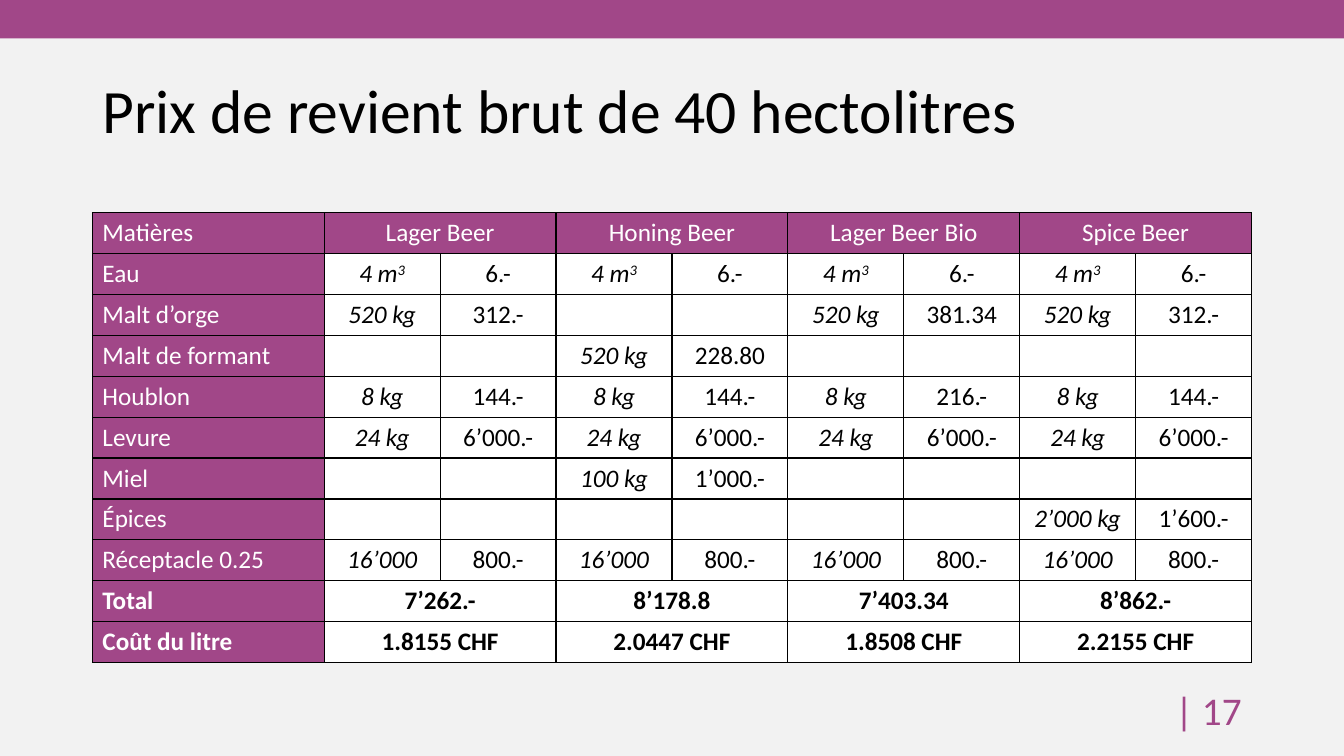
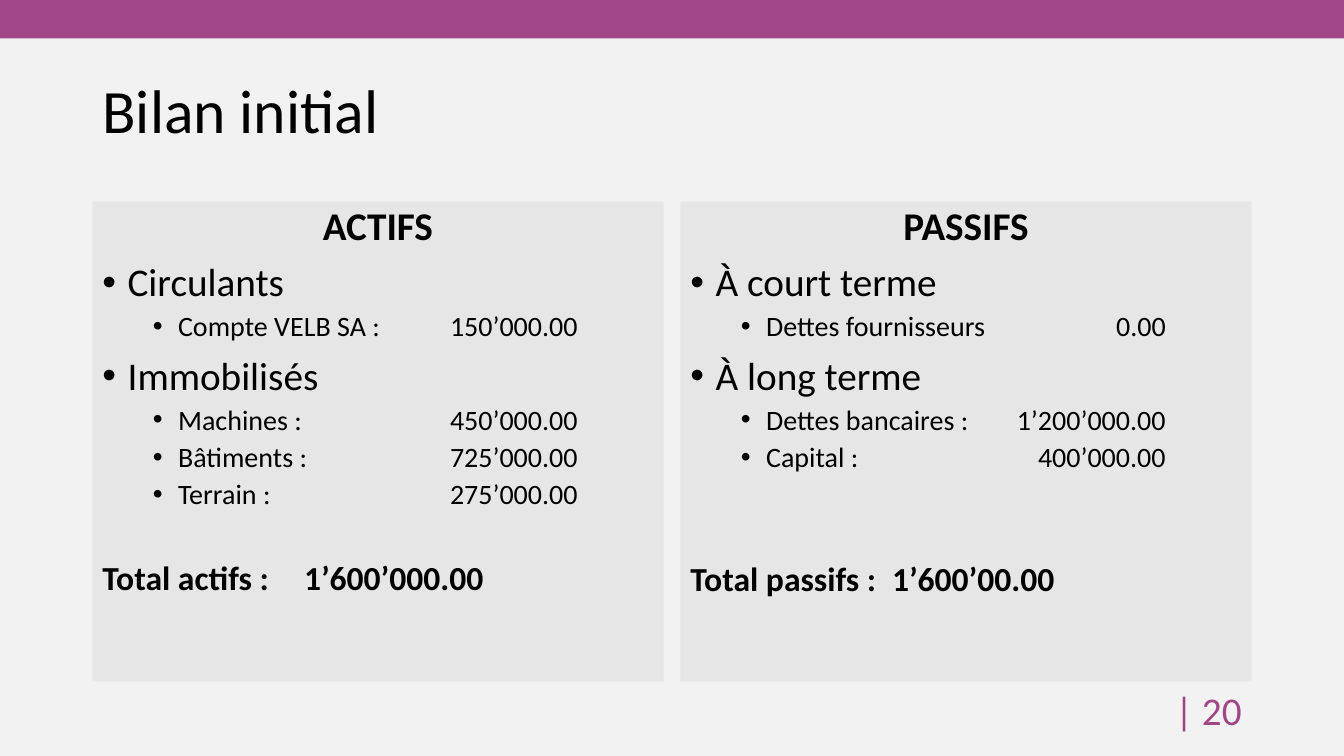
from dataclasses import dataclass
from typing import Optional

import lxml.etree
import pptx
import pptx.dml.color
import pptx.enum.shapes
import pptx.enum.text
import pptx.oxml.ns
import pptx.shapes.base
import pptx.slide
import pptx.table
import pptx.text.text
import pptx.util

Pt = pptx.util.Pt
qn = pptx.oxml.ns.qn
Align = pptx.enum.text.PP_ALIGN
Anchor = pptx.enum.text.MSO_ANCHOR

# Shared look
FONT = "Calibri"
PLUM, PAPER, PANEL = "A14788", "F2F2F2", "E7E6E6"
BLACK, WHITE = "000000", "FFFFFF"
SLIDE_WIDTH, SLIDE_HEIGHT = 960, 540
MARGIN = 66
CONTENT_WIDTH = SLIDE_WIDTH - 2 * MARGIN
TITLE_ONLY, TWO_CONTENT = 5, 3

# Cost table
LABEL_WIDTH, ENTRY_WIDTH, ROW_HEIGHT = 165.6, 82.8, 29.2
TABLE_TOP = 152

# Balance sheet panels
PANEL_TOP, PANEL_HEIGHT, PANEL_GAP = 144, 343, 12
PANEL_WIDTH = (CONTENT_WIDTH - PANEL_GAP) / 2

Entry = Optional[tuple[str, str]]


@dataclass(frozen=True)
class Ingredient:
    name: str
    entries: tuple[Entry, ...]  # quantity and price for each beer


@dataclass(frozen=True)
class Summary:
    name: str
    values: tuple[str, ...]
    bold: bool = True


@dataclass(frozen=True)
class LineStyle:
    size: float
    before: float
    bold: bool = False
    align: Align = Align.LEFT
    margin: float = 0
    bullet: bool = False
    level: int = 0
    tab: Optional[tuple[float, str]] = None


@dataclass(frozen=True)
class Group:
    name: str
    items: tuple[str, ...]


@dataclass(frozen=True)
class Side:
    heading: str
    groups: tuple[Group, ...]
    total: str
    total_gap: float


HEADING = LineStyle(28, 10, bold=True, align=Align.CENTER)
GROUP = LineStyle(28, 10, margin=18, bullet=True)
ITEM = LineStyle(20, 5, margin=54, bullet=True, level=1, tab=(340, "r"))

BEERS = Summary(
    "Matières", ("Lager Beer", "Honing Beer", "Lager Beer Bio", "Spice Beer"), bold=False
)
MALT = ("520 kg", "312.-")
HOPS = ("8 kg", "144.-")
INGREDIENTS = (
    Ingredient("Eau", (("4 m^3", "6.-"),) * 4),
    Ingredient("Malt d’orge", (MALT, None, ("520 kg", "381.34"), MALT)),
    Ingredient("Malt de formant", (None, ("520 kg", "228.80"), None, None)),
    Ingredient("Houblon", (HOPS, HOPS, ("8 kg", "216.-"), HOPS)),
    Ingredient("Levure", (("24 kg", "6’000.-"),) * 4),
    Ingredient("Miel", (None, ("100 kg", "1’000.-"), None, None)),
    Ingredient("Épices", (None, None, None, ("2’000 kg", "1’600.-"))),
    Ingredient("Réceptacle 0.25", (("16’000", "800.-"),) * 4),
)
TOTALS = (
    Summary("Total", ("7’262.-", "8’178.8", "7’403.34", "8’862.-")),
    Summary("Coût du litre", ("1.8155 CHF", "2.0447 CHF", "1.8508 CHF", "2.2155 CHF")),
)

SIDES = (
    Side(
        "ACTIFS",
        (
            Group("Circulants", ("Compte VELB SA :\t150’000.00",)),
            Group(
                "Immobilisés",
                (
                    "Machines :\t450’000.00",
                    "Bâtiments :\t725’000.00",
                    "Terrain :\t275’000.00",
                ),
            ),
        ),
        "Total actifs :\t1’600’000.00",
        36.4,
    ),
    Side(
        "PASSIFS",
        (
            Group("À court terme", ("Dettes fournisseurs\t0.00",)),
            Group(
                "À long terme",
                ("Dettes bancaires :\t1’200’000.00", "Capital :\t400’000.00"),
            ),
        ),
        "Total passifs :\t1’600’00.00",
        63.4,
    ),
)


def rgb(color: str) -> pptx.dml.color.RGBColor:
    return pptx.dml.color.RGBColor.from_string(color)


def paint(target, color: str) -> None:
    target.fill.solid()
    target.fill.fore_color.rgb = rgb(color)


def style_runs(
    paragraph: pptx.text.text._Paragraph,
    size: float,
    color: str = BLACK,
    bold: bool = False,
    italic: bool = False,
) -> None:
    for run in paragraph.runs:
        run.font.name = FONT
        run.font.size = Pt(size)
        run.font.color.rgb = rgb(color)
        run.font.bold = bold
        run.font.italic = italic


def place(
    shape: pptx.shapes.base.BaseShape, left: float, top: float, width: float, height: float
) -> None:
    shape.left, shape.top = Pt(left), Pt(top)
    shape.width, shape.height = Pt(width), Pt(height)


def add_page(
    deck: pptx.presentation.Presentation, layout: int, heading: str, number: int
) -> pptx.slide.Slide:
    slide = deck.slides.add_slide(deck.slide_layouts[layout])

    # Top band
    band = slide.shapes.add_shape(
        pptx.enum.shapes.MSO_SHAPE.RECTANGLE, 0, Pt(-1.4), Pt(SLIDE_WIDTH), Pt(28.8)
    )
    band.shadow.inherit = False
    paint(band, PLUM)
    band.line.fill.background()

    # Title
    title = slide.shapes.title
    place(title, MARGIN, 28.8, CONTENT_WIDTH, 104.4)
    title.text_frame.text = heading
    title.text_frame.vertical_anchor = Anchor.MIDDLE
    title.text_frame.auto_size = pptx.enum.text.MSO_AUTO_SIZE.NONE
    title_line = title.text_frame.paragraphs[0]
    title_line.alignment = Align.LEFT
    title_line.line_spacing = 0.9
    style_runs(title_line, 44)

    # Page number
    folio = slide.shapes.add_textbox(
        Pt(SLIDE_WIDTH - MARGIN - 216), Pt(492.5), Pt(216), Pt(28.8)
    )
    folio.text_frame.word_wrap = True
    folio.text_frame.vertical_anchor = Anchor.MIDDLE
    folio.text_frame.text = f"| {number}"
    folio.text_frame.paragraphs[0].alignment = Align.RIGHT
    style_runs(folio.text_frame.paragraphs[0], 28, PLUM)
    return slide


def frame_cell(cell: pptx.table._Cell, fill: str) -> None:
    properties = cell._tc.get_or_add_tcPr()
    for edge in ("a:lnL", "a:lnR", "a:lnT", "a:lnB"):
        border = lxml.etree.SubElement(properties, qn(edge), w=str(Pt(1)))
        ink = lxml.etree.SubElement(border, qn("a:solidFill"))
        lxml.etree.SubElement(ink, qn("a:srgbClr"), val=BLACK)
    paint(cell, fill)


def write_cell(
    cell: pptx.table._Cell,
    text: str,
    color: str = BLACK,
    align: Align = Align.CENTER,
    bold: bool = False,
    italic: bool = False,
) -> None:
    """Write a cell; what follows a ^ is raised."""
    base, _, exponent = text.partition("^")
    cell.text_frame.text = base
    paragraph = cell.text_frame.paragraphs[0]
    paragraph.alignment = align
    if exponent:
        raised = paragraph.add_run()
        raised.text = exponent
        raised.font._element.set("baseline", "30000")
    style_runs(paragraph, 18, color, bold, italic)


def add_cost_table(slide: pptx.slide.Slide) -> None:
    rows = (BEERS, *INGREDIENTS, *TOTALS)
    column_count = 1 + 2 * len(BEERS.values)
    costs = slide.shapes.add_table(
        len(rows), column_count, Pt(MARGIN), Pt(TABLE_TOP),
        Pt(CONTENT_WIDTH), Pt(ROW_HEIGHT * len(rows)),
    ).table
    costs.first_row = costs.horz_banding = False
    for index, column in enumerate(costs.columns):
        column.width = Pt(ENTRY_WIDTH if index else LABEL_WIDTH)

    for r, row in enumerate(rows):
        costs.rows[r].height = Pt(ROW_HEIGHT)
        for c in range(column_count):
            frame_cell(costs.cell(r, c), PLUM if row is BEERS or c == 0 else WHITE)
        bold = isinstance(row, Summary) and row.bold
        write_cell(costs.cell(r, 0), row.name, WHITE, Align.LEFT, bold)
        if isinstance(row, Summary):
            for c, value in zip(range(1, column_count, 2), row.values):
                costs.cell(r, c).merge(costs.cell(r, c + 1))
                write_cell(costs.cell(r, c), value, WHITE if row is BEERS else BLACK, bold=bold)
        else:
            for c, entry in zip(range(1, column_count, 2), row.entries):
                if entry:
                    write_cell(costs.cell(r, c), entry[0], italic=True)
                    write_cell(costs.cell(r, c + 1), entry[1])


def format_line(paragraph: pptx.text.text._Paragraph, style: LineStyle) -> None:
    paragraph.level = style.level
    paragraph.alignment = style.align
    paragraph.line_spacing = 0.9
    paragraph.space_before = Pt(style.before)
    properties = paragraph._p.get_or_add_pPr()
    properties.set("marL", str(Pt(style.margin)))
    properties.set("indent", str(Pt(-18 if style.bullet else 0)))
    if style.bullet:
        lxml.etree.SubElement(properties, qn("a:buFont"), typeface="Arial")
        lxml.etree.SubElement(properties, qn("a:buChar"), char="•")
    else:
        lxml.etree.SubElement(properties, qn("a:buNone"))
    if style.tab:
        position, kind = style.tab
        stops = lxml.etree.SubElement(properties, qn("a:tabLst"))
        lxml.etree.SubElement(stops, qn("a:tab"), pos=str(Pt(position)), algn=kind)
    style_runs(paragraph, style.size, bold=style.bold)


def fill_side(panel: pptx.shapes.base.BaseShape, side: Side, left: float) -> None:
    place(panel, left, PANEL_TOP, PANEL_WIDTH, PANEL_HEIGHT)
    paint(panel, PANEL)
    lines = [(side.heading, HEADING)]
    for group in side.groups:
        lines.append((group.name, GROUP))
        lines.extend((item, ITEM) for item in group.items)
    lines.append((side.total, LineStyle(24, side.total_gap, bold=True, tab=(144, "l"))))

    body = panel.text_frame
    body.auto_size = pptx.enum.text.MSO_AUTO_SIZE.NONE
    body.vertical_anchor = Anchor.TOP
    body.text = "\n".join(text for text, _ in lines)
    for paragraph, (_, style) in zip(body.paragraphs, lines):
        format_line(paragraph, style)


def main() -> None:
    deck = pptx.Presentation()
    deck.slide_width, deck.slide_height = Pt(SLIDE_WIDTH), Pt(SLIDE_HEIGHT)
    paint(deck.slide_master.background, PAPER)

    add_cost_table(add_page(deck, TITLE_ONLY, "Prix de revient brut de 40 hectolitres", 17))

    balance = add_page(deck, TWO_CONTENT, "Bilan initial", 20)
    for index, side in enumerate(SIDES):
        left = MARGIN + index * (PANEL_WIDTH + PANEL_GAP)
        fill_side(balance.placeholders[index + 1], side, left)
    deck.save("out.pptx")


if __name__ == "__main__":
    main()
